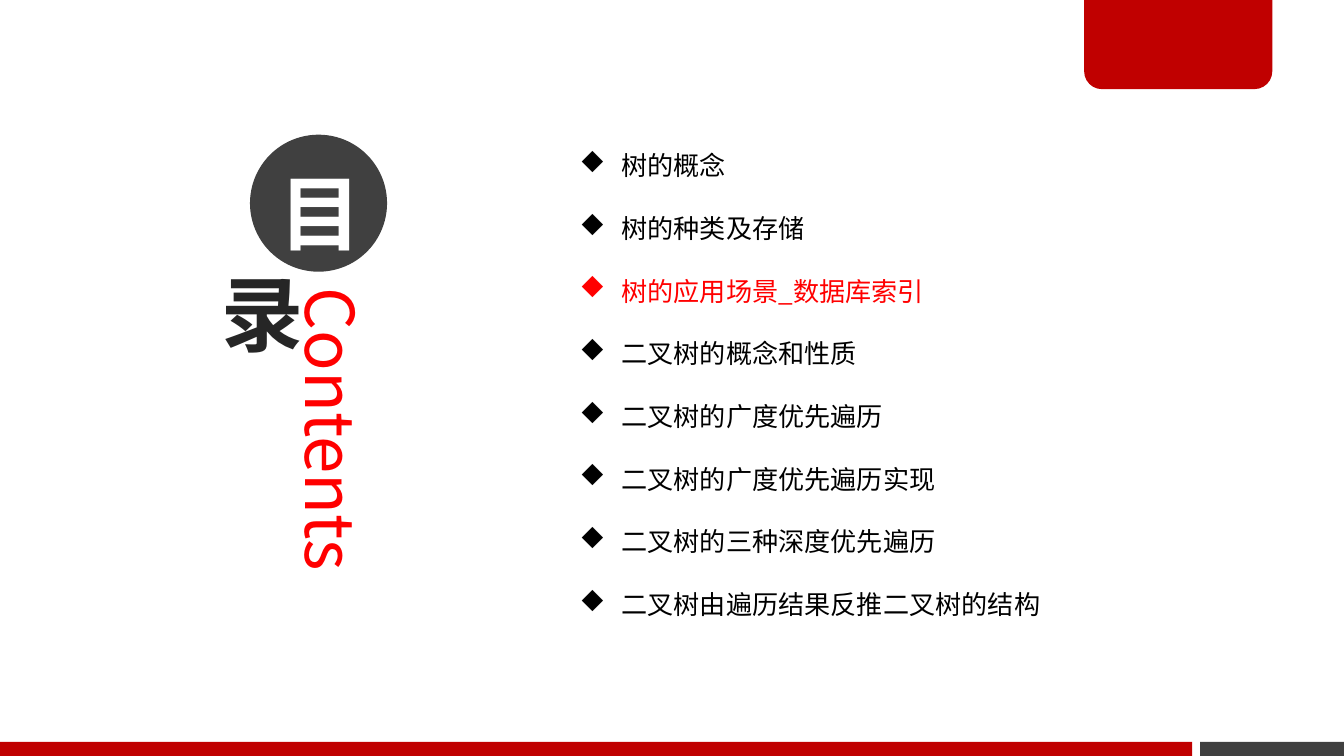
from typing import NamedTuple

from lxml import etree
from pptx import Presentation, util as u
from pptx.dml.color import RGBColor
from pptx.enum import shapes, text
from pptx.oxml.ns import qn

WIDTH = u.Inches(10)
HEIGHT = WIDTH * 9 // 16
FONT = "Noto Sans CJK SC"
RED, BRIGHT_RED, GREY = "C00000", "FF0000", "404040"
DARK, BLACK, WHITE = "262626", "000000", "FFFFFF"
BULLET_INDENT = u.Inches(0.31)
BULLET_FONT, BULLET_DIAMOND = "Wingdings", "u"


class Area(NamedTuple):
    """Percent shares of the slide's width and height."""
    left: float
    top: float
    width: float
    height: float

    def lengths(self) -> list[int]:
        return [int(share * side / 100)
                for share, side in zip(self, (WIDTH, HEIGHT) * 2)]


class Block(NamedTuple):
    kind: shapes.MSO_SHAPE
    area: Area
    fill: str | None


class Topic(NamedTuple):
    wording: str
    color: str = BLACK


RECTANGLE, OVAL = shapes.MSO_SHAPE.RECTANGLE, shapes.MSO_SHAPE.OVAL
FOOTER_GREY = Block(RECTANGLE, Area(89.3, 98.15, 10.7, 1.85), GREY)
FOOTER_RED = Block(RECTANGLE, Area(0, 98.15, 88.7, 1.85), RED)
CORNER_TAB = Block(shapes.MSO_SHAPE.ROUND_2_SAME_RECTANGLE,
                   Area(80.67, 0, 14, 11.8), RED)
FIRST_CIRCLE = Block(OVAL, Area(18.6, 17.82, 10.2, 18.13), GREY)
SECOND_CIRCLE = Block(OVAL, Area(14.6, 34.2, 8, 14.22), None)
CONTENTS_AREA = Area(21.4, 37.33, 7, 51.38)
TOPICS_AREA = Area(42.15, 14.76, 47.2, 67.56)

TOPICS = [
    Topic("树的概念"),
    Topic("树的种类及存储"),
    Topic("树的应用场景_数据库索引", BRIGHT_RED),
    Topic("二叉树的概念和性质"),
    Topic("二叉树的广度优先遍历"),
    Topic("二叉树的广度优先遍历实现"),
    Topic("二叉树的三种深度优先遍历"),
    Topic("二叉树由遍历结果反推二叉树的结构"),
]


def rgb(color: str) -> RGBColor:
    return RGBColor.from_string(color)


def add_block(slide, block: Block):
    shape = slide.shapes.add_shape(block.kind, *block.area.lengths())
    shape.shadow.inherit = False
    shape.line.fill.background()
    if block.fill:
        shape.fill.solid()
        shape.fill.fore_color.rgb = rgb(block.fill)
    else:
        shape.fill.background()
    return shape


def add_frame(slide, area: Area):
    frame = slide.shapes.add_textbox(*area.lengths()).text_frame
    frame.word_wrap = True
    return frame


def set_insets(frame, bottom: float = 0.04) -> None:
    frame.margin_left = frame.margin_right = u.Inches(0.07)
    frame.margin_top, frame.margin_bottom = u.Inches(0.04), u.Inches(bottom)


def add_bullet(paragraph) -> None:
    properties = paragraph._p.get_or_add_pPr()
    properties.set("marL", str(BULLET_INDENT))
    properties.set("indent", str(-BULLET_INDENT))
    etree.SubElement(properties, qn("a:buFont"), typeface=BULLET_FONT,
                     pitchFamily="2", charset="2")
    etree.SubElement(properties, qn("a:buChar"), char=BULLET_DIAMOND)


def write(paragraph, wording: str, *, size: float, color: str,
          bold: bool = False, align=text.PP_ALIGN.LEFT, spacing=None) -> None:
    paragraph.alignment = align
    if spacing:
        paragraph.line_spacing = spacing
    run = paragraph.add_run()
    run.text = wording
    run.font.size, run.font.bold = u.Pt(size), bold
    run.font.color.rgb = rgb(color)
    run.font.name = FONT
    etree.SubElement(run._r.get_or_add_rPr(), qn("a:ea"), typeface=FONT)


def add_character(slide, block: Block, character: str, color: str,
                  bottom: float = 0.04, spacing=None) -> None:
    frame = add_block(slide, block).text_frame
    frame.word_wrap = True
    frame.vertical_anchor = text.MSO_ANCHOR.MIDDLE
    set_insets(frame, bottom)
    write(frame.paragraphs[0], character, size=44, color=color, bold=True,
          align=text.PP_ALIGN.CENTER, spacing=spacing)


def add_vertical_label(slide) -> None:
    frame = add_frame(slide, CONTENTS_AREA)
    set_insets(frame)
    frame._txBody.bodyPr.set("vert", "eaVert")
    write(frame.paragraphs[0], "Contents", size=36, color=BRIGHT_RED,
          spacing=u.Pt(43))


def add_topics(slide) -> None:
    frame = add_frame(slide, TOPICS_AREA)
    for index, topic in enumerate(TOPICS):
        paragraph = frame.add_paragraph() if index else frame.paragraphs[0]
        add_bullet(paragraph)
        write(paragraph, topic.wording, size=14, color=topic.color,
              spacing=u.Pt(33.6))


def main() -> None:
    presentation = Presentation()
    presentation.slide_width, presentation.slide_height = WIDTH, HEIGHT
    slide = presentation.slides.add_slide(presentation.slide_layouts[6])

    add_block(slide, FOOTER_GREY)
    tab = add_block(slide, CORNER_TAB)
    tab.adjustments[0], tab.adjustments[1] = 0, 0.2
    add_block(slide, FOOTER_RED)

    add_vertical_label(slide)
    add_character(slide, FIRST_CIRCLE, "目", WHITE, bottom=0.15,
                  spacing=u.Pt(70))
    add_character(slide, SECOND_CIRCLE, "录", DARK)
    add_topics(slide)
    presentation.save("out.pptx")


if __name__ == "__main__":
    main()
